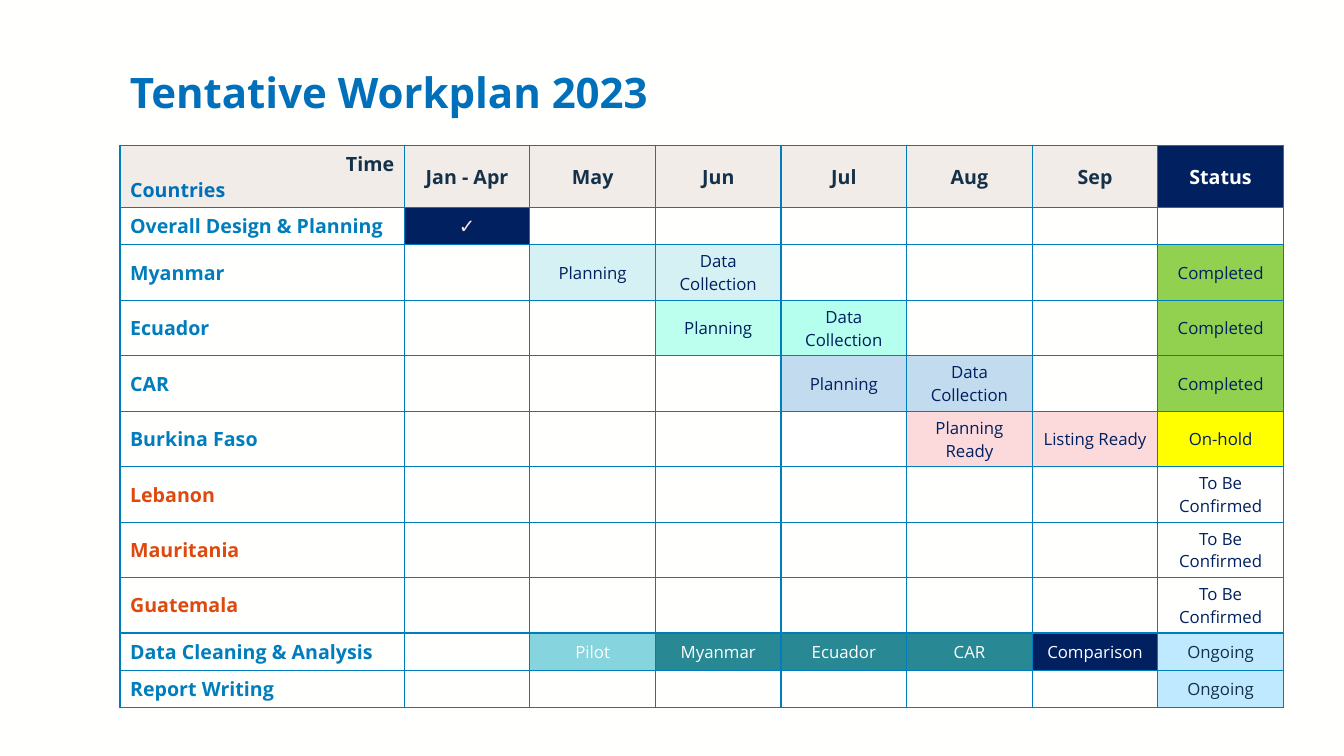
from lxml import etree
from pptx import Presentation
from pptx.dml.color import RGBColor
from pptx.enum.text import MSO_ANCHOR, PP_ALIGN
from pptx.oxml.ns import qn
from pptx.util import Inches, Pt

MIDDLE = MSO_ANCHOR.MIDDLE
LEFT, CENTER, RIGHT = PP_ALIGN.LEFT, PP_ALIGN.CENTER, PP_ALIGN.RIGHT

FONT = "Open Sans"
PAPER = RGBColor(0xFF, 0xFF, 0xFE)
WHITE = RGBColor(0xFF, 0xFF, 0xFF)
TITLE_BLUE = RGBColor(0x00, 0x70, 0xBA)
LABEL_BLUE = RGBColor(0x00, 0x7D, 0xBC)
ORANGE = RGBColor(0xDD, 0x49, 0x0E)
INK = RGBColor(0x14, 0x31, 0x49)
NAVY = RGBColor(0x00, 0x20, 0x60)
PEACH = RGBColor(0xFD, 0xE4, 0xDA)
HEADER_GREY = RGBColor(0xF1, 0xEC, 0xE8)
PALE_CYAN = RGBColor(0xD6, 0xF1, 0xF4)
MINT = RGBColor(0xBD, 0xFF, 0xEE)
DEEP_MINT = RGBColor(0xB4, 0xFF, 0xED)
PALE_BLUE = RGBColor(0xC2, 0xDB, 0xEF)
PINK = RGBColor(0xFC, 0xD9, 0xDB)
AQUA = RGBColor(0x85, 0xD4, 0xDE)
TEAL = RGBColor(0x28, 0x88, 0x94)
GREEN = RGBColor(0x92, 0xD0, 0x50)
YELLOW = RGBColor(0xFF, 0xFF, 0x00)
SKY = RGBColor(0xBF, 0xE9, 0xFF)

TITLE = "Tentative Workplan 2023"
HEADINGS = ["Jan - Apr", "May", "Jun", "Jul", "Aug", "Sep", "Status"]
COMPLETED = ("Completed", GREEN, NAVY)
UNCONFIRMED = ("To Be Confirmed", None, NAVY)
ONGOING = ("Ongoing", SKY, INK)

# Label, label colour, row height, {heading: (text, fill, text colour)}
TASKS = [
    ("Overall Design & Planning", LABEL_BLUE, 0.37,
     {"Jan - Apr": ("✓", NAVY, PEACH)}),
    ("Myanmar", LABEL_BLUE, 0.55,
     {"May": ("Planning", PALE_CYAN, NAVY),
      "Jun": ("Data Collection", PALE_CYAN, NAVY), "Status": COMPLETED}),
    ("Ecuador", LABEL_BLUE, 0.55,
     {"Jun": ("Planning", MINT, NAVY),
      "Jul": ("Data Collection", DEEP_MINT, NAVY), "Status": COMPLETED}),
    ("CAR", LABEL_BLUE, 0.55,
     {"Jul": ("Planning", PALE_BLUE, NAVY),
      "Aug": ("Data Collection", PALE_BLUE, NAVY), "Status": COMPLETED}),
    ("Burkina Faso", LABEL_BLUE, 0.55,
     {"Jul": ("", WHITE, NAVY), "Aug": ("Planning Ready", PINK, NAVY),
      "Sep": ("Listing Ready", PINK, NAVY),
      "Status": ("On-hold", YELLOW, NAVY)}),
    ("Lebanon", ORANGE, 0.55, {"Status": UNCONFIRMED}),
    ("Mauritania", ORANGE, 0.55, {"Status": UNCONFIRMED}),
    ("Guatemala", ORANGE, 0.55, {"Status": UNCONFIRMED}),
    ("Data Cleaning & Analysis", LABEL_BLUE, 0.37,
     {"May": ("Pilot", AQUA, PAPER), "Jun": ("Myanmar", TEAL, PAPER),
      "Jul": ("Ecuador", TEAL, PAPER), "Aug": ("CAR", TEAL, PAPER),
      "Sep": ("Comparison", NAVY, WHITE), "Status": ONGOING}),
    ("Report Writing", LABEL_BLUE, 0.37, {"Status": ONGOING}),
]

TABLE_LEFT, TABLE_TOP, TABLE_WIDTH = 1.19, 1.44, 11.54
LABEL_WIDTH, HEADER_HEIGHT = 2.82, 0.62


def write(paragraph, text, size, color, bold, align=LEFT):
    paragraph.alignment = align
    if not text:
        # An empty cell still takes its line height from the end mark.
        end_mark = etree.SubElement(paragraph._p, qn("a:endParaRPr"))
        end_mark.set("sz", str(size * 100))
        return
    run = paragraph.add_run()
    run.text = text
    run.font.name = FONT
    run.font.size = Pt(size)
    run.font.color.rgb = color
    run.font.bold = bold


def style_cell(cell, fill):
    """Draw the four borders, then the fill, which must follow them."""
    cell.vertical_anchor = MIDDLE
    properties = cell._tc.get_or_add_tcPr()
    for side in ("lnL", "lnR", "lnT", "lnB"):
        line = etree.SubElement(properties, qn(f"a:{side}"), w=str(Pt(1)))
        solid = etree.SubElement(line, qn("a:solidFill"))
        etree.SubElement(solid, qn("a:srgbClr"), val=str(LABEL_BLUE))
    if fill is None:
        cell.fill.background()
    else:
        cell.fill.solid()
        cell.fill.fore_color.rgb = fill


def fill_cell(cell, text, fill, size, color, bold, align=LEFT):
    style_cell(cell, fill)
    write(cell.text_frame.paragraphs[0], text, size, color, bold, align)


def add_title(slide):
    box = slide.shapes.add_textbox(
        Inches(TABLE_LEFT), Inches(0.58), Inches(TABLE_WIDTH), Inches(0.72))
    frame = box.text_frame
    frame.word_wrap = True
    frame.vertical_anchor = MIDDLE
    frame.paragraphs[0].line_spacing = 0.9
    write(frame.paragraphs[0], TITLE, 30, TITLE_BLUE, True)


def add_workplan(slide):
    heights = [HEADER_HEIGHT] + [task[2] for task in TASKS]
    month_width = (TABLE_WIDTH - LABEL_WIDTH) / len(HEADINGS)
    widths = [LABEL_WIDTH] + [month_width] * len(HEADINGS)
    table = slide.shapes.add_table(
        len(heights), len(widths), Inches(TABLE_LEFT), Inches(TABLE_TOP),
        Inches(TABLE_WIDTH), Inches(sum(heights))).table
    table.first_row = False
    table.horz_banding = False
    for column, width in zip(table.columns, widths):
        column.width = Inches(width)
    for row, height in zip(table.rows, heights):
        row.height = Inches(height)

    corner = table.cell(0, 0)
    fill_cell(corner, "Time", HEADER_GREY, 14, INK, True, RIGHT)
    write(corner.text_frame.add_paragraph(), "Countries", 14, TITLE_BLUE, True)
    for column, heading in enumerate(HEADINGS, 1):
        fill, color = (NAVY, WHITE) if heading == "Status" else (HEADER_GREY, INK)
        fill_cell(table.cell(0, column), heading, fill, 14, color, True, CENTER)

    for row, (label, label_color, _, entries) in enumerate(TASKS, 1):
        fill_cell(table.cell(row, 0), label, None, 14, label_color, True)
        for column, heading in enumerate(HEADINGS, 1):
            text, fill, color = entries.get(heading, ("", None, NAVY))
            size = 14 if text == "✓" else 12
            fill_cell(table.cell(row, column), text, fill, size, color, False, CENTER)


def main():
    presentation = Presentation()
    presentation.slide_width = Inches(13.33)
    presentation.slide_height = Inches(7.5)
    slide = presentation.slides.add_slide(presentation.slide_layouts[6])
    slide.background.fill.solid()
    slide.background.fill.fore_color.rgb = PAPER
    add_title(slide)
    add_workplan(slide)
    presentation.save("out.pptx")


if __name__ == "__main__":
    main()
